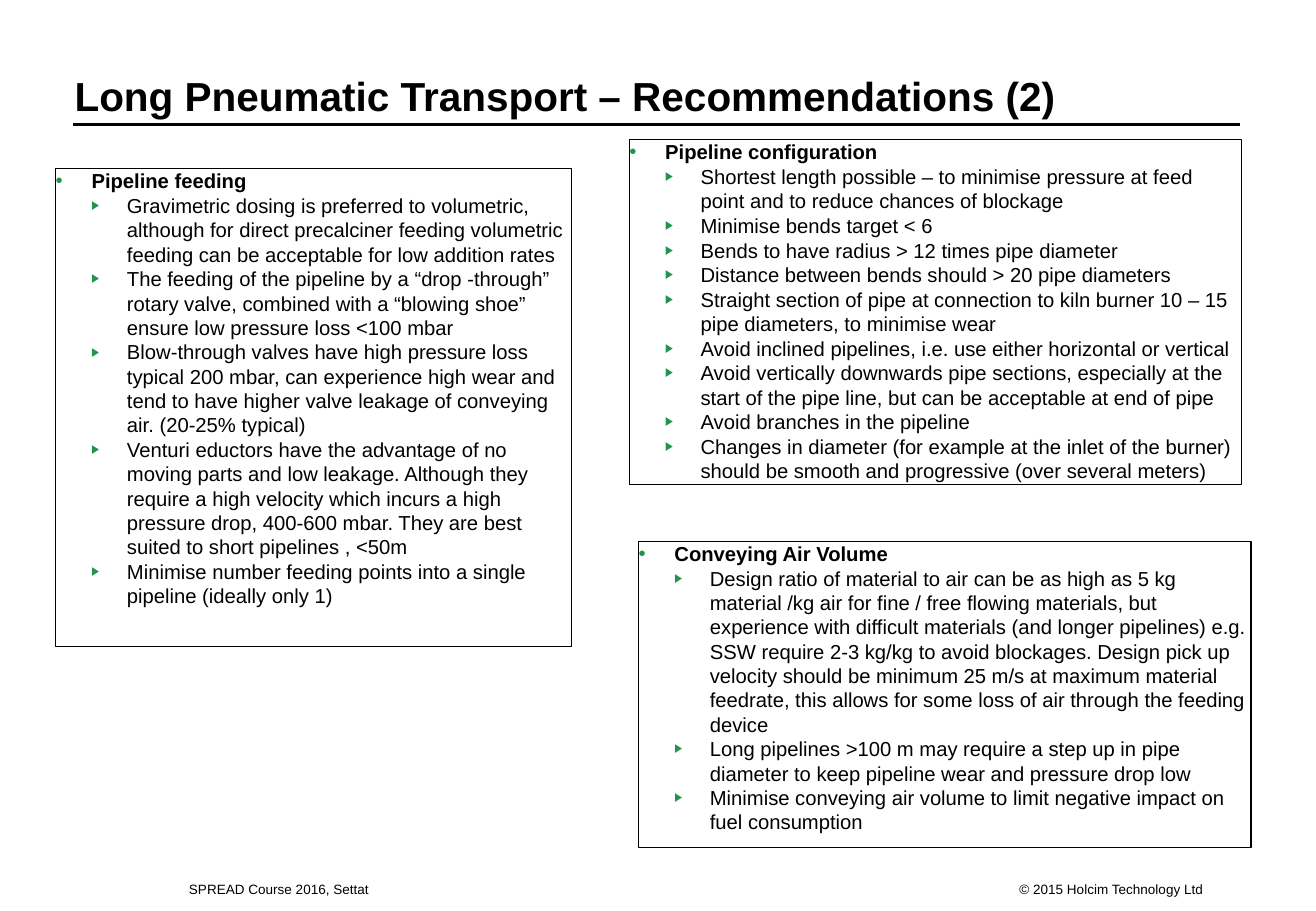
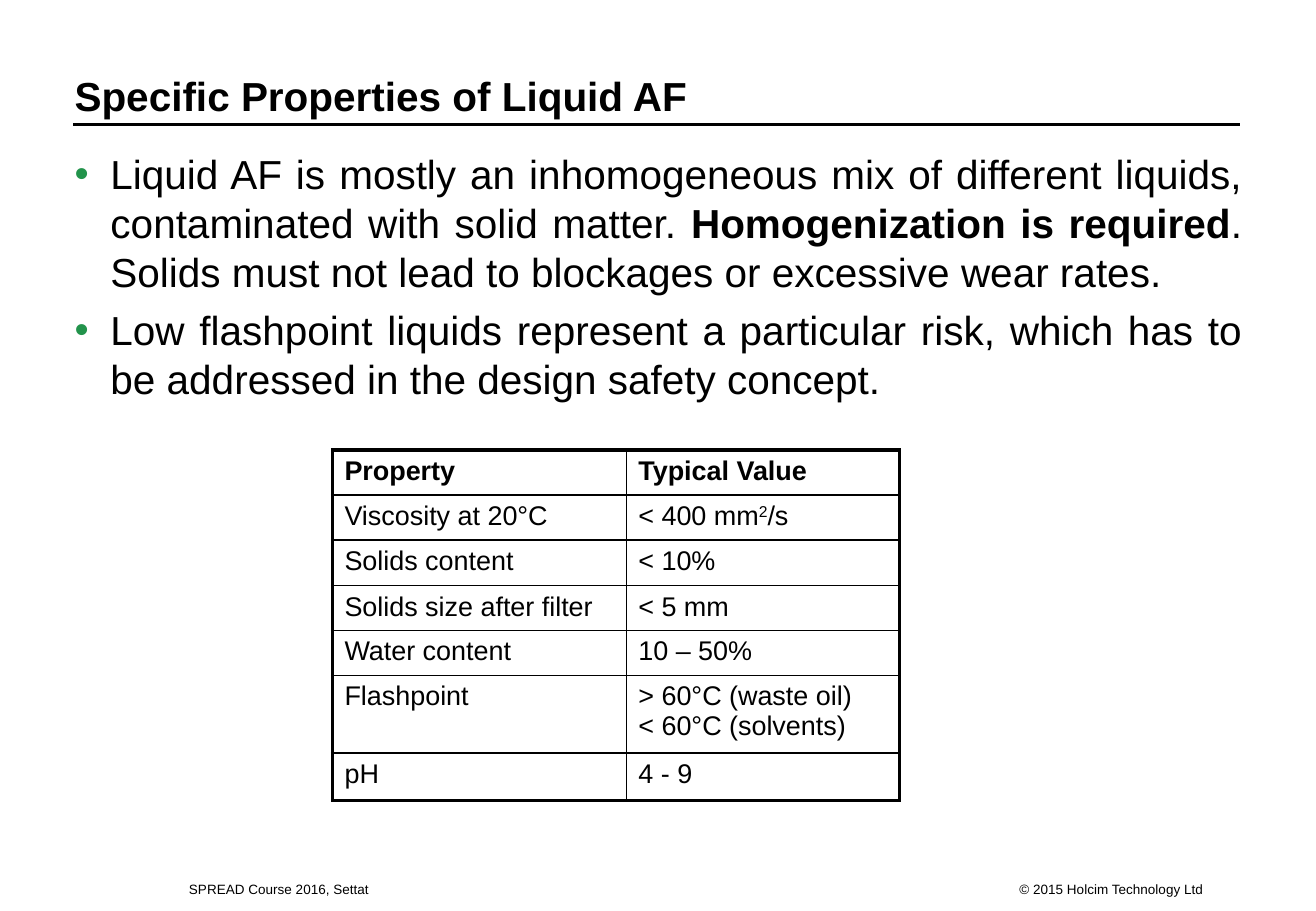
from lxml import etree
from pptx import Presentation
from pptx.dml.color import RGBColor
from pptx.enum.shapes import MSO_CONNECTOR, MSO_SHAPE
from pptx.enum.text import MSO_ANCHOR, MSO_AUTO_SIZE, PP_ALIGN
from pptx.oxml.ns import qn
from pptx.util import Pt

STRAIGHT = MSO_CONNECTOR.STRAIGHT
RECTANGLE = MSO_SHAPE.RECTANGLE
TOP, BOTTOM = MSO_ANCHOR.TOP, MSO_ANCHOR.BOTTOM
LEFT, RIGHT, JUSTIFY = PP_ALIGN.LEFT, PP_ALIGN.RIGHT, PP_ALIGN.JUSTIFY
NO_AUTOFIT = MSO_AUTO_SIZE.NONE
BLACK = RGBColor(0x00, 0x00, 0x00)
GREEN = RGBColor(0x22, 0x93, 0x4B)
FONT = "Arial"
MARGIN = 44.2


def add_run(paragraph, text, size, bold=False):
    run = paragraph.add_run()
    run.text = text
    run.font.name = FONT
    run.font.size = Pt(size)
    run.font.bold = bold
    run.font.color.rgb = BLACK
    return run


def format_bullet(paragraph, level, alignment, space_before):
    character, size, margin, hanging = [("•", 100, 21.3, 21.3), ("▶", 60, 42.3, 21.1)][level]
    properties = paragraph._p.get_or_add_pPr()
    properties.set("marL", str(Pt(margin)))
    properties.set("indent", str(-Pt(hanging)))
    color = etree.SubElement(properties, qn("a:buClr"))
    etree.SubElement(color, qn("a:srgbClr"), val=str(GREEN))
    etree.SubElement(properties, qn("a:buSzPct"), val=str(size * 1000))
    etree.SubElement(properties, qn("a:buFont"), typeface=FONT)
    etree.SubElement(properties, qn("a:buChar"), char=character)
    paragraph.level = level
    paragraph.alignment = alignment
    paragraph.space_before = Pt(space_before)


presentation = Presentation()
presentation.slide_width = Pt(780)
presentation.slide_height = Pt(540)

slides = []
for layout_index, title_text in [
    (5, "Long Pneumatic Transport – Recommendations (2)"),
    (1, "Specific Properties of Liquid AF"),
]:
    slide = presentation.slides.add_slide(presentation.slide_layouts[layout_index])
    slides.append(slide)
    title = slide.shapes.title
    title.left, title.top, title.width, title.height = Pt(MARGIN), Pt(8.9), Pt(691), Pt(62.6)
    frame = title.text_frame
    frame.auto_size = NO_AUTOFIT
    frame.vertical_anchor = BOTTOM
    frame.margin_left = frame.margin_top = frame.margin_right = 0
    frame.margin_bottom = Pt(0.7)
    frame.paragraphs[0].alignment = LEFT
    add_run(frame.paragraphs[0], title_text, 24, True)

recommendations, properties_slide = slides

rule = recommendations.shapes.add_connector(STRAIGHT, Pt(43.4), Pt(73.9), Pt(735), Pt(73.9))
rule.line.color.rgb = BLACK
rule.line.width = Pt(1.75)
etree.SubElement(rule.element.spPr, qn("a:effectLst"))
shared_shapes = [rule]

for text, left, width, alignment in [
    ("© 2015 Holcim Technology Ltd", 575.7, 137.5, RIGHT),
    ("SPREAD Course 2016, Settat", 112, 278, LEFT),
]:
    footer = recommendations.shapes.add_textbox(Pt(left), Pt(522.5), Pt(width), Pt(9.4))
    frame = footer.text_frame
    frame.word_wrap = True
    frame.vertical_anchor = BOTTOM
    frame.margin_left = frame.margin_top = frame.margin_right = frame.margin_bottom = 0
    frame.paragraphs[0].alignment = alignment
    add_run(frame.paragraphs[0], text, 8)
    shared_shapes.append(footer)

master_tree = presentation.slide_master.element.cSld.spTree
for number, shape in enumerate(shared_shapes, start=101):
    shape.element.xpath(".//p:cNvPr")[0].set("id", str(number))
    master_tree.append(shape.element)

boxes = [
    ((33, 100, 305.7, 283.4), "Pipeline feeding", [
        "Gravimetric dosing is preferred to volumetric, although for direct precalciner feeding volumetric feeding can be acceptable for low addition rates",
        "The feeding of the pipeline by a “drop -through” rotary valve, combined with a “blowing shoe” ensure low pressure loss <100 mbar",
        "Blow-through valves have high pressure loss typical 200 mbar, can experience high wear and tend to have higher valve leakage of conveying air. (20-25% typical)",
        "Venturi eductors have the advantage of no moving parts and low leakage. Although they require a high velocity which incurs a high pressure drop, 400-600 mbar. They are best suited to short pipelines , <50m",
        "Minimise number feeding points into a single pipeline (ideally only 1)",
    ]),
    ((373, 82.8, 363, 204.3), "Pipeline configuration", [
        "Shortest length possible – to minimise pressure at feed point and to reduce chances of blockage",
        "Minimise bends target < 6",
        "Bends to have radius > 12 times pipe diameter",
        "Distance between bends should > 20 pipe diameters",
        "Straight section of pipe at connection to kiln burner 10 – 15 pipe diameters, to minimise wear",
        "Avoid inclined pipelines, i.e. use either horizontal or vertical",
        "Avoid vertically downwards pipe sections, especially at the start of the pipe line, but can be acceptable at end of pipe",
        "Avoid branches in the pipeline",
        "Changes in diameter (for example at the inlet of the burner) should be smooth and progressive (over several meters)",
    ]),
    ((378.5, 321, 363, 181.4), "Conveying Air Volume", [
        "Design ratio of material to air can be as high as 5 kg material /kg air for fine / free flowing materials, but experience with difficult materials (and longer pipelines) e.g. SSW require 2-3 kg/kg to avoid blockages. Design pick up velocity should be minimum 25 m/s at maximum material feedrate, this allows for some loss of air through the feeding device",
        "Long pipelines >100 m may require a step up in pipe diameter to keep pipeline wear and pressure drop low",
        "Minimise conveying air volume to limit negative impact on fuel consumption",
    ]),
]
for bounds, heading, points in boxes:
    box = recommendations.shapes.add_shape(RECTANGLE, *[Pt(length) for length in bounds])
    box.shadow.inherit = False
    box.fill.background()
    box.line.color.rgb = BLACK
    box.line.width = Pt(0.75)
    frame = box.text_frame
    frame.word_wrap = True
    frame.vertical_anchor = TOP
    frame.margin_left = frame.margin_top = frame.margin_right = frame.margin_bottom = 0
    format_bullet(frame.paragraphs[0], 0, LEFT, 0)
    add_run(frame.paragraphs[0], heading, 12, True)
    for point in points:
        paragraph = frame.add_paragraph()
        format_bullet(paragraph, 1, LEFT, 0.2)
        add_run(paragraph, point, 12)

body = properties_slide.placeholders[1]
body.left, body.top, body.width, body.height = Pt(MARGIN), Pt(88.6), Pt(692), Pt(402.5)
frame = body.text_frame
frame.auto_size = NO_AUTOFIT
frame.margin_left = frame.margin_top = frame.margin_right = frame.margin_bottom = 0
statements = [
    [
        ("Liquid AF is mostly an inhomogeneous mix of different liquids, contaminated with solid matter. ", False),
        ("Homogenization is required", True),
        (". Solids must not lead to blockages or excessive wear rates.", False),
    ],
    [("Low flashpoint liquids represent a particular risk, which has to be addressed in the design safety concept.", False)],
]
for index, statement in enumerate(statements):
    paragraph = frame.add_paragraph() if index else frame.paragraphs[0]
    format_bullet(paragraph, 0, JUSTIFY, 5.8 if index else 0)
    for text, bold in statement:
        add_run(paragraph, text, 24, bold)

table_rows = [
    ("Property", "Typical Value"),
    ("Viscosity at 20°C", "< 400 mm^2^/s"),
    ("Solids content", "< 10%"),
    ("Solids size after filter", "< 5 mm"),
    ("Water content", "10 – 50%"),
    ("Flashpoint", "> 60°C (waste oil)\n< 60°C (solvents)"),
    ("pH", "4 - 9"),
]
row_heights = [26.6, 26.6, 27.2, 26.6, 26.6, 46, 28.4]
column_widths = [174.2, 162]
table = properties_slide.shapes.add_table(
    len(table_rows), len(column_widths), Pt(197), Pt(266.8),
    Pt(sum(column_widths)), Pt(sum(row_heights)),
).table
table.first_row = False
table.horz_banding = False
for column, width in zip(table.columns, column_widths):
    column.width = Pt(width)
last_row, last_column = len(table_rows) - 1, len(column_widths) - 1
for row_index, (row_texts, height) in enumerate(zip(table_rows, row_heights)):
    table.rows[row_index].height = Pt(height)
    for column_index, text in enumerate(row_texts):
        cell = table.cell(row_index, column_index)
        cell.margin_left = cell.margin_right = Pt(7.2)
        cell.margin_top = cell.margin_bottom = Pt(3.6)
        cell_properties = cell._tc.get_or_add_tcPr()
        for side, outer in [
            ("L", column_index == 0),
            ("R", column_index == last_column),
            ("T", row_index == 0),
            ("B", row_index == last_row),
        ]:
            border = etree.SubElement(cell_properties, qn(f"a:ln{side}"), w=str(Pt(2.25 if outer else 1)))
            border_fill = etree.SubElement(border, qn("a:solidFill"))
            etree.SubElement(border_fill, qn("a:srgbClr"), val=str(BLACK))
        cell.fill.background()
        paragraph = cell.text_frame.paragraphs[0]
        for line_index, line in enumerate(text.split("\n")):
            if line_index:
                paragraph.add_line_break()
            for part_index, part in enumerate(line.split("^")):
                run = add_run(paragraph, part, 16, row_index == 0)
                if part_index % 2:
                    run._r.get_or_add_rPr().set("baseline", "30000")

presentation.save("out.pptx")
